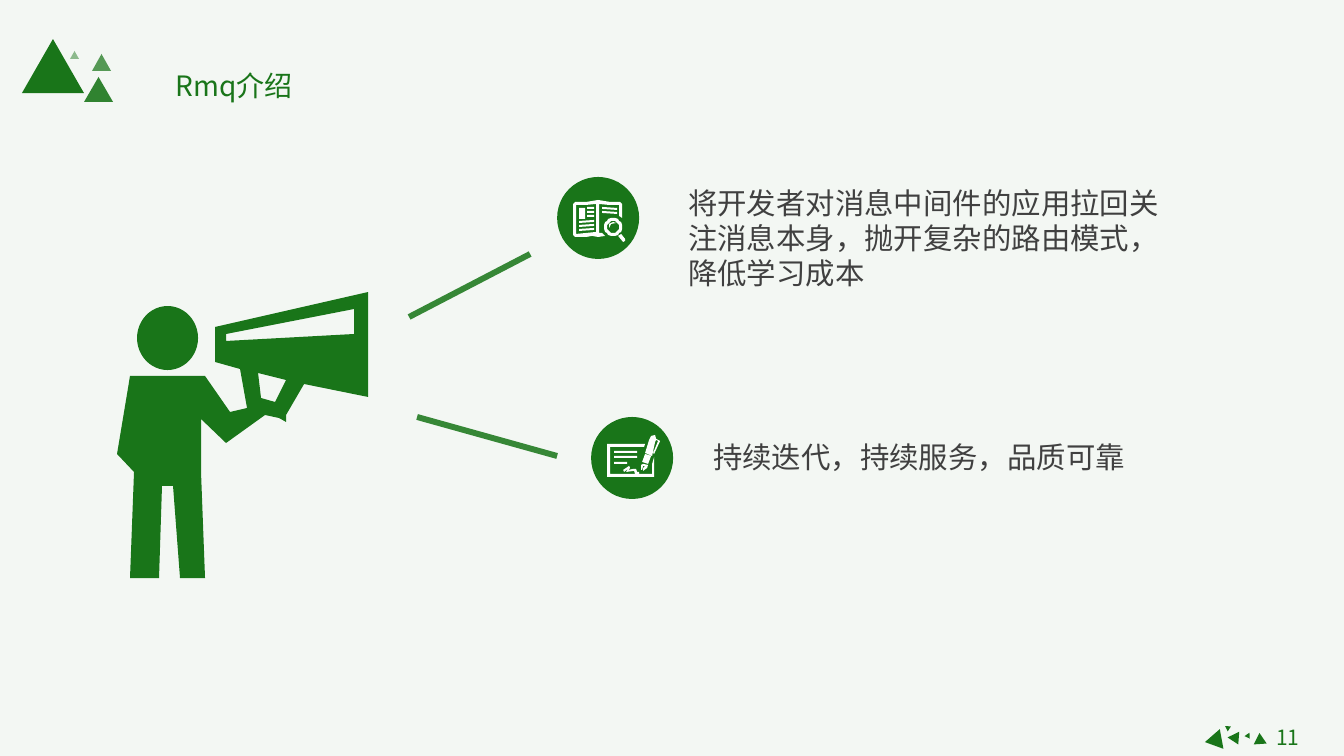
"""Build the Rmq introduction slide with a megaphone speaker and two points."""
import math
from dataclasses import dataclass

from lxml import etree
from pptx import Presentation
from pptx import util as u
from pptx.dml.color import RGBColor
from pptx.enum import shapes, text
from pptx.oxml.ns import qn

PX = u.Inches(1) / 100.8


@dataclass(frozen=True)
class Theme:
    green: str = "197519"
    line: str = "368736"
    white: str = "FFFFFF"
    ground: str = "F3F7F3"
    ink: str = "404040"
    font: str = "Noto Sans CJK SC"
    title: int = 20
    body: int = 21
    number: int = 15
    stroke: float = 4.25


THEME = Theme()


def bar(left, top, right, bottom, rise=0):
    return [(left, top + rise), (right, top), (right, bottom), (left, bottom + rise)]


def ring(x, y, radius, steps=24):
    angles = [2 * math.pi * step / steps for step in range(steps)]
    return [(x + radius * math.cos(a), y + radius * math.sin(a)) for a in angles]


TITLE = ("Rmq介绍", (164, 63, 140, 44))
NUMBER = ("11", (1253, 720, 69, 35))
CORNER = [((22, 39, 62, 54), 0, 100), ((84, 77, 29, 25), 0, 89),
          ((70, 51, 9, 8), 0, 47), ((92, 54, 19, 17), 0, 72)]
FOOTER = [((1229, 734, 13, 11), 153.9, 100), ((1203, 732, 20, 17), 259.5, 100),
          ((1253, 733, 13, 11), 356.2, 100), ((1224, 725, 6, 5), 303.5, 100),
          ((1245, 734, 6, 5), 145.8, 100)]
HEAD = (137, 306, 61, 64)
SPEAKER = [
    [(304, 384), (286, 415), (286, 422), (279, 418), (265, 415), (226, 443),
     (201, 419), (201, 472), (205, 578), (180, 578), (173, 486), (162, 486),
     (159, 578), (130, 578), (134, 472), (117, 454), (130, 376), (205, 376),
     (230, 412), (247, 408), (240, 369), (215, 362), (215, 327), (368, 292),
     (368, 397)],
    [(258, 373), (261, 398), (275, 402), (286, 380)],
    [(226, 334), (226, 341), (354, 334), (354, 309)],
]
BOOK = [
    [(575, 202), (586, 202), (598, 200), (610, 202), (620, 202), (622, 204),
     (622, 218), (619, 216), (619, 205), (609, 205), (599, 204), (599, 233),
     (602, 233), (605, 236), (598, 237), (592, 236), (586, 237), (575, 237),
     (573, 235), (573, 204)],
    [(576, 205), (586, 205), (596, 204), (596, 232), (586, 233), (576, 234)],
    bar(579, 208, 585, 219),
    *[bar(587, y, 594, y + 2) for y in (207, 211, 215)],
    *[bar(579, y, 594, y + 2, rise=1) for y in (220, 224, 228)],
    *[bar(602, y, 617, y + 2, rise=-1) for y in (208, 212)],
    ring(613, 227, 9), ring(613, 227, 6),
    [(609, 228), (611, 224), (616, 223), (613, 222), (609, 224)],
    [(618, 236), (621, 234), (625, 239), (625, 241), (623, 242)],
]
CONTRACT = [
    [(607, 444), (645, 444), (644, 447), (610, 447), (610, 474), (652, 474),
     (652, 464), (654, 457), (654, 477), (607, 477)],
    *[bar(614, y, right, y + 2) for y, right in ((451, 637), (456, 637), (462, 627))],
    [(655, 442), (656, 440), (658, 441), (653, 453), (654, 454), (660, 441),
     (656, 439), (655, 435), (651, 436), (649, 440), (645, 453), (652, 456)],
    [(645, 454), (651, 456), (648, 464), (642, 462)],
    [(643, 464), (648, 465), (647, 468), (643, 471), (643, 468), (645, 466),
     (643, 466), (642, 470), (641, 470), (641, 465)],
    [(623, 470), (629, 466), (630, 468), (628, 470), (633, 469), (636, 469),
     (637, 472), (639, 472), (639, 474), (635, 474), (634, 471), (626, 472),
     (628, 469), (624, 472)],
]
POINTS = [
    {"text": "将开发者对消息中间件的应用拉回关注消息本身，抛开复杂的路由模式，降低学习成本",
     "frame": (678, 180, 510, 117), "disc": (557, 177, 82, 82),
     "icon": BOOK, "link": (409, 317, 530, 254)},
    {"text": "持续迭代，持续服务，品质可靠",
     "frame": (703, 434, 510, 45), "disc": (591, 417, 82, 82),
     "icon": CONTRACT, "link": (417, 417, 557, 456)},
]


def emu(values):
    return [round(value * PX) for value in values]


def paint(shape, color, opacity=100):
    shape.shadow.inherit = False
    shape.fill.solid()
    shape.fill.fore_color.rgb = RGBColor.from_string(color)
    shape.line.fill.background()
    if opacity < 100:
        tint = shape.fill._xPr.find(".//" + qn("a:srgbClr"))
        etree.SubElement(tint, qn("a:alpha"), val=str(opacity * 1000))


def add_preset(page, kind, frame, angle=0, opacity=100):
    shape = page.shapes.add_shape(kind, *emu(frame))
    shape.rotation = angle
    paint(shape, THEME.green, opacity)


def add_outline(page, contours, color):
    builder = page.shapes.build_freeform(*contours[0][0], scale=PX)
    for index, contour in enumerate(contours):
        if index:
            builder.move_to(*contour[0])
        builder.add_line_segments(contour[1:], close=True)
    paint(builder.convert_to_shape(), color)


def add_link(page, ends):
    link = page.shapes.add_connector(shapes.MSO_CONNECTOR.STRAIGHT, *emu(ends))
    link.line.width = u.Pt(THEME.stroke)
    link.line.color.rgb = RGBColor.from_string(THEME.line)
    etree.SubElement(link._element.spPr, qn("a:effectLst"))


def write(box, words, frame, size, color, align=text.PP_ALIGN.LEFT):
    box.left, box.top, box.width, box.height = emu(frame)
    body = box.text_frame
    body.word_wrap = True
    body.auto_size = text.MSO_AUTO_SIZE.NONE
    body.vertical_anchor = text.MSO_ANCHOR.TOP
    para = body.paragraphs[0]
    para.alignment = align
    span = para.add_run()
    span.text = words
    span.font.size = u.Pt(size)
    span.font.name = THEME.font
    span.font.color.rgb = RGBColor.from_string(color)
    etree.SubElement(span.font._element, qn("a:ea"), typeface=THEME.font)


def add_text(page, words, frame, **style):
    write(page.shapes.add_textbox(*emu(frame)), words, frame, **style)


def main():
    deck = Presentation()
    deck.slide_width, deck.slide_height = u.Inches(13.33), u.Inches(7.5)
    page = deck.slides.add_slide(deck.slide_layouts.get_by_name("Title Only"))
    page.background.fill.solid()
    page.background.fill.fore_color.rgb = RGBColor.from_string(THEME.ground)
    kinds = shapes.MSO_SHAPE
    centred = {"color": THEME.green, "align": text.PP_ALIGN.CENTER}

    write(page.shapes.title, *TITLE, size=THEME.title, **centred)
    for frame, angle, opacity in CORNER + FOOTER:
        add_preset(page, kinds.ISOSCELES_TRIANGLE, frame, angle, opacity)
    add_preset(page, kinds.OVAL, HEAD)
    add_outline(page, SPEAKER, THEME.green)
    for point in POINTS:
        add_link(page, point["link"])
        add_preset(page, kinds.OVAL, point["disc"])
        add_outline(page, point["icon"], THEME.white)
        add_text(page, point["text"], point["frame"], size=THEME.body, color=THEME.ink)
    add_text(page, *NUMBER, size=THEME.number, **centred)
    deck.save("out.pptx")


main()
